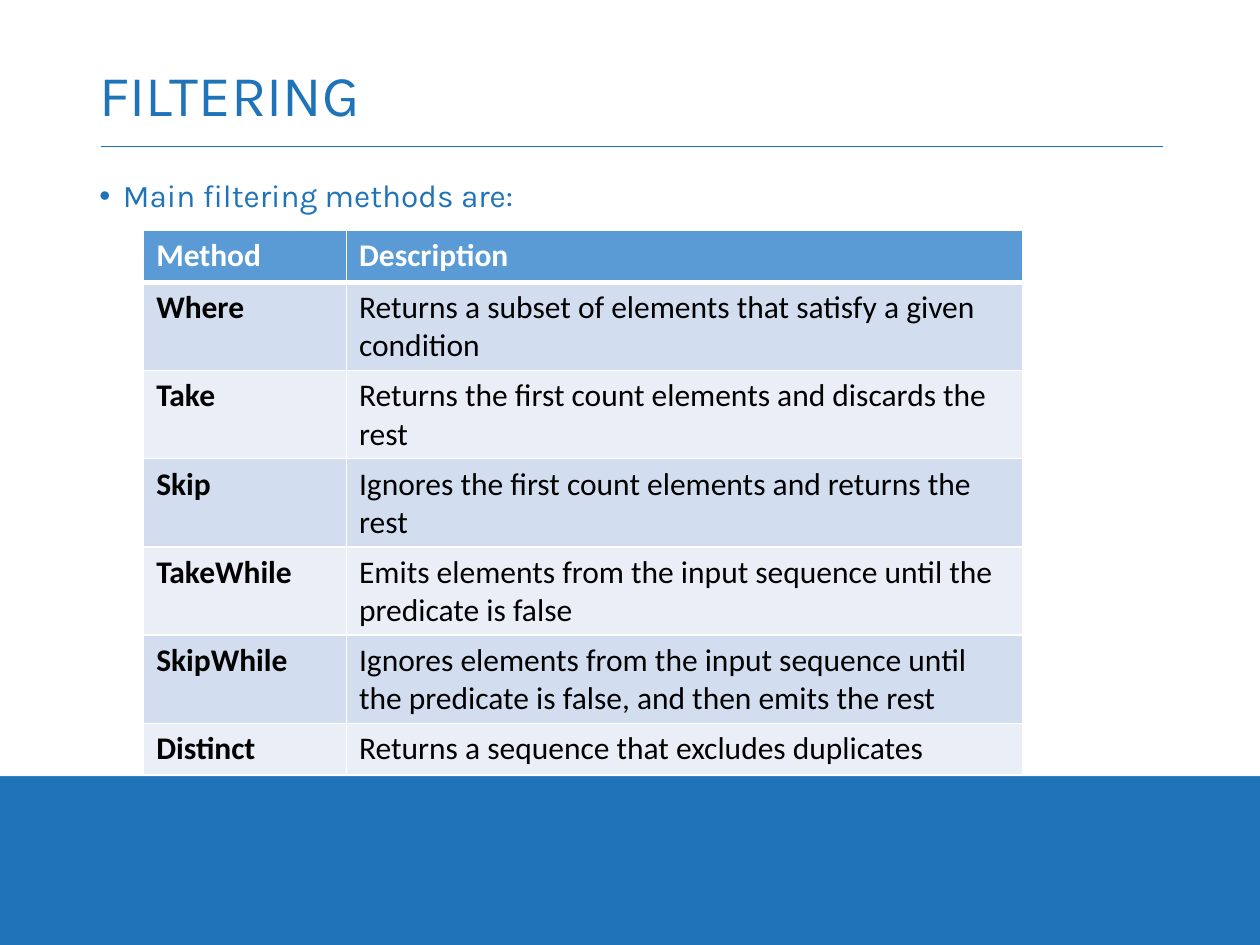
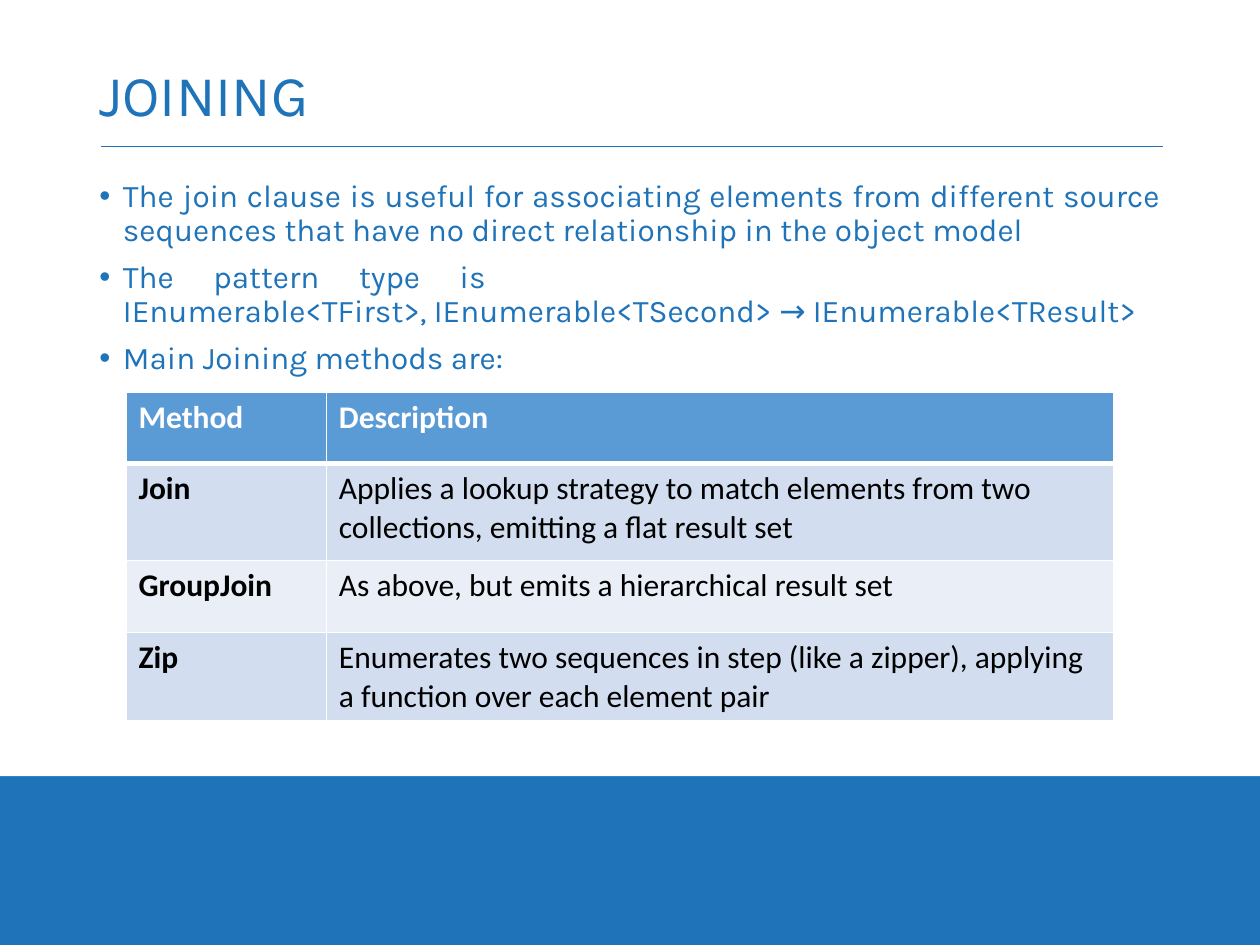
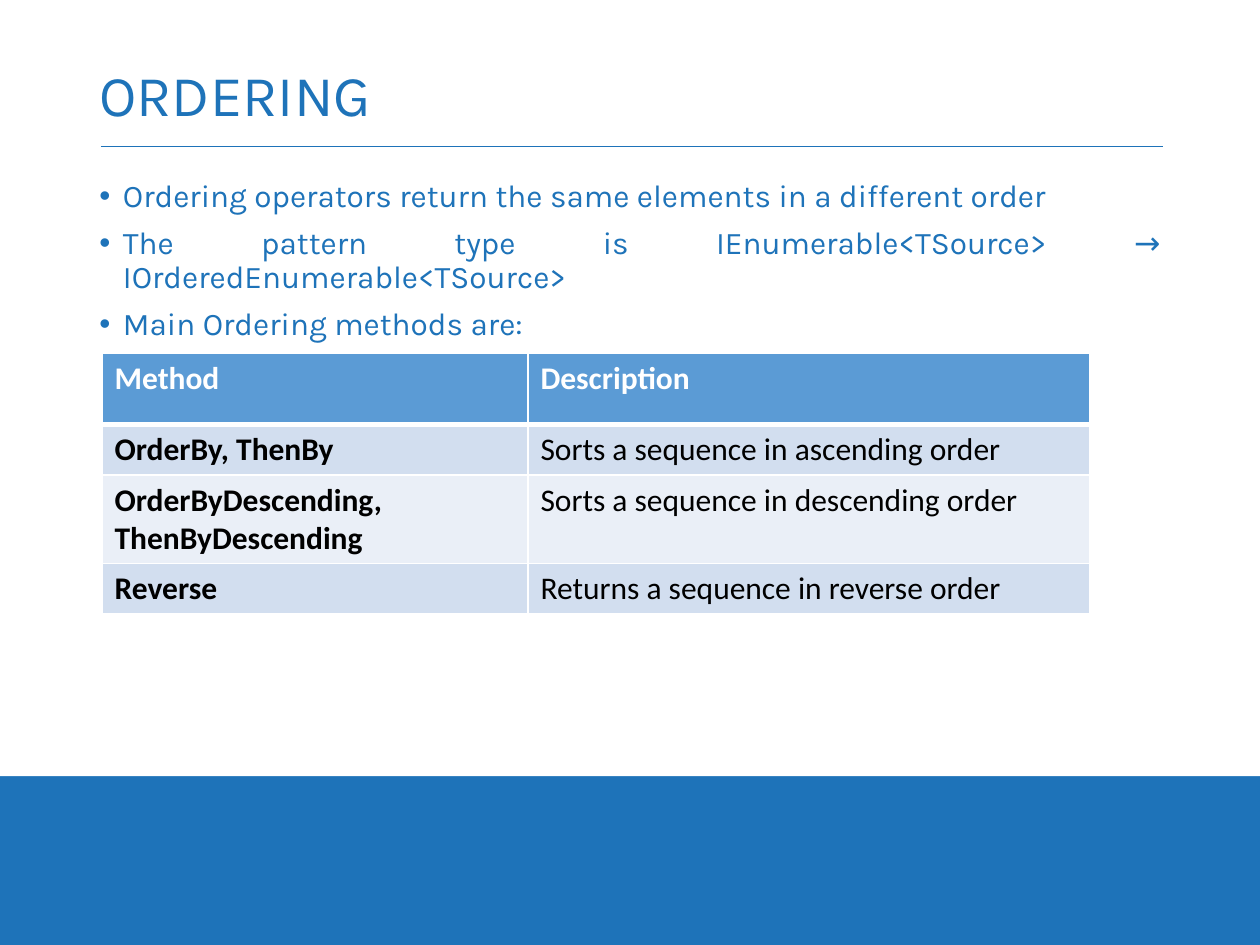
from pptx import Presentation
from pptx.dml.color import RGBColor
from pptx.enum.shapes import MSO_CONNECTOR, MSO_SHAPE
from pptx.enum.text import MSO_ANCHOR, PP_ALIGN
from pptx.oxml.ns import qn
from pptx.util import Pt
from lxml.etree import SubElement

BLUE, WHITE, BLACK = "1E73B9", "FFFFFF", "000000"
HEAD, BANDS = "5B9BD5", ("D2DEEF", "EAEFF7")
TITLE = (49.68, 28.8, 620.64, 54.72)
BODY = (49.68, 99.36, 620.64, 326.16)
INDENT, TAB = 13.5, 533

PAGES = [
    ("FILTERING", ["Main filtering methods are:"],
     (82.08, 131.76), (115.92, 386.64), [29.52] * 7, [
        ("Where", "Returns a subset of elements that satisfy a given condition"),
        ("Take", "Returns the first count elements and discards the rest"),
        ("Skip", "Ignores the first count elements and returns the rest"),
        ("TakeWhile", "Emits elements from the input sequence until the predicate is false"),
        ("SkipWhile", "Ignores elements from the input sequence until the predicate is false, "
                      "and then emits the rest"),
        ("Distinct", "Returns a sequence that excludes duplicates")]),
    ("JOINING", [
        "The join clause is useful for associating elements from different source "
        "sequences that have no direct relationship in the object model",
        "The pattern type is \tIEnumerable<TFirst>, IEnumerable<TSecond> → IEnumerable<TResult>",
        "Main Joining methods are:"],
     (72, 223.92), (114.48, 450), [41.04, 55.44, 41.04, 41.04], [
        ("Join", "Applies a lookup strategy to match elements from two collections, "
                 "emitting a flat result set"),
        ("GroupJoin", "As above, but emits a hierarchical result set"),
        ("Zip", "Enumerates two sequences in step (like a zipper), "
                "applying a function over each element pair")]),
    ("ORDERING", [
        "Ordering operators return the same elements in a different order",
        "The pattern type is IEnumerable<TSource> → IOrderedEnumerable<TSource>",
        "Main Ordering methods are:"],
     (58.32, 201.6), (243.36, 321.12), [41.04, 25.2, 30.24, 25.92], [
        ("OrderBy, ThenBy", "Sorts a sequence in ascending order"),
        ("OrderByDescending, ThenByDescending", "Sorts a sequence in descending order"),
        ("Reverse", "Returns a sequence in reverse order")]),
]


def paint(part, tone):
    """Give a fill or font colour format a solid hex colour."""
    if hasattr(part, "solid"):
        part.solid()
        part = part.fore_color
    part.rgb = RGBColor.from_string(tone)


def write(para, text, size, face, tone, bold=False):
    """Add one styled run to a paragraph."""
    run = para.add_run()
    run.text = text
    run.font.size, run.font.name, run.font.bold = Pt(size), face, bold
    paint(run.font.color, tone)


def frame(slide, box):
    """Add a wrapping text box and return its text frame."""
    text = slide.shapes.add_textbox(*map(Pt, box)).text_frame
    text.word_wrap = True
    return text


def backdrop(slide):
    """Draw the blue ground, the white panel and the title rule."""
    paint(slide.background.fill, BLUE)
    panel = slide.shapes.add_shape(MSO_SHAPE.RECTANGLE, 0, 0, Pt(720), Pt(443.52))
    panel.shadow.inherit = False
    paint(panel.fill, WHITE)
    panel.line.fill.background()
    rule = slide.shapes.add_connector(
        MSO_CONNECTOR.STRAIGHT, Pt(57.6), Pt(83.52), Pt(664.56), Pt(83.52))
    paint(rule.line.color, BLUE)
    rule.line.width = Pt(0.5)
    SubElement(rule._element.spPr, qn("a:effectLst"))


def title(slide, box, text):
    """Write the slide title, centred in height."""
    area = frame(slide, box)
    area.vertical_anchor = MSO_ANCHOR.MIDDLE
    para = area.paragraphs[0]
    para.line_spacing = 0.9
    write(para, text, 33, "Karla", BLUE)


def bullets(slide, box, items):
    """Write a justified bullet list."""
    area = frame(slide, box)
    for i, item in enumerate(items):
        para = area.add_paragraph() if i else area.paragraphs[0]
        para.alignment = PP_ALIGN.JUSTIFY
        para.line_spacing, para.space_before = 0.9, Pt(7.5)
        props = para._p.get_or_add_pPr()
        props.set("marL", str(Pt(INDENT)))
        props.set("indent", str(-Pt(INDENT)))
        SubElement(props, qn("a:buFont"), typeface="Arial")
        SubElement(props, qn("a:buChar"), char="•")
        if "\t" in item:
            tabs = SubElement(props, qn("a:tabLst"))
            SubElement(tabs, qn("a:tab"), pos=str(Pt(TAB)), algn="l")
        write(para, item, 18, "Karla", BLUE)


def border(cell, **widths):
    """Draw white cell borders, with the given widths by side."""
    props = cell._tc.get_or_add_tcPr()
    for i, side in enumerate(("lnL", "lnR", "lnT", "lnB")):
        line = props.makeelement(qn("a:" + side), {"w": str(Pt(widths.get(side, 1)))})
        fill = SubElement(line, qn("a:solidFill"))
        SubElement(fill, qn("a:srgbClr"), val=WHITE)
        props.insert(i, line)


def methods(slide, spot, cols, highs, rows):
    """Build the table of methods and descriptions."""
    rows = [("Method", "Description")] + rows
    size = sum(cols), sum(highs)
    table = slide.shapes.add_table(len(rows), len(cols), *map(Pt, spot + size)).table
    for col, width in zip(table.columns, cols):
        col.width = Pt(width)
    for r, (row, high) in enumerate(zip(rows, highs)):
        table.rows[r].height = Pt(high)
        for c, text in enumerate(row):
            cell = table.cell(r, c)
            paint(cell.fill, BANDS[(r - 1) % 2] if r else HEAD)
            border(cell, lnT=3 if r == 1 else 1, lnB=1 if r else 3)
            write(cell.text_frame.paragraphs[0], text, 18, "Calibri",
                  BLACK if r else WHITE, r == 0 or c == 0)


def build():
    """Build and save the deck."""
    deck = Presentation()
    deck.slide_width, deck.slide_height = Pt(720), Pt(540)
    for name, items, spot, cols, highs, rows in PAGES:
        slide = deck.slides.add_slide(deck.slide_layouts[6])
        backdrop(slide)
        title(slide, TITLE, name)
        bullets(slide, BODY, items)
        methods(slide, spot, cols, highs, rows)
    deck.save("out.pptx")


build()
